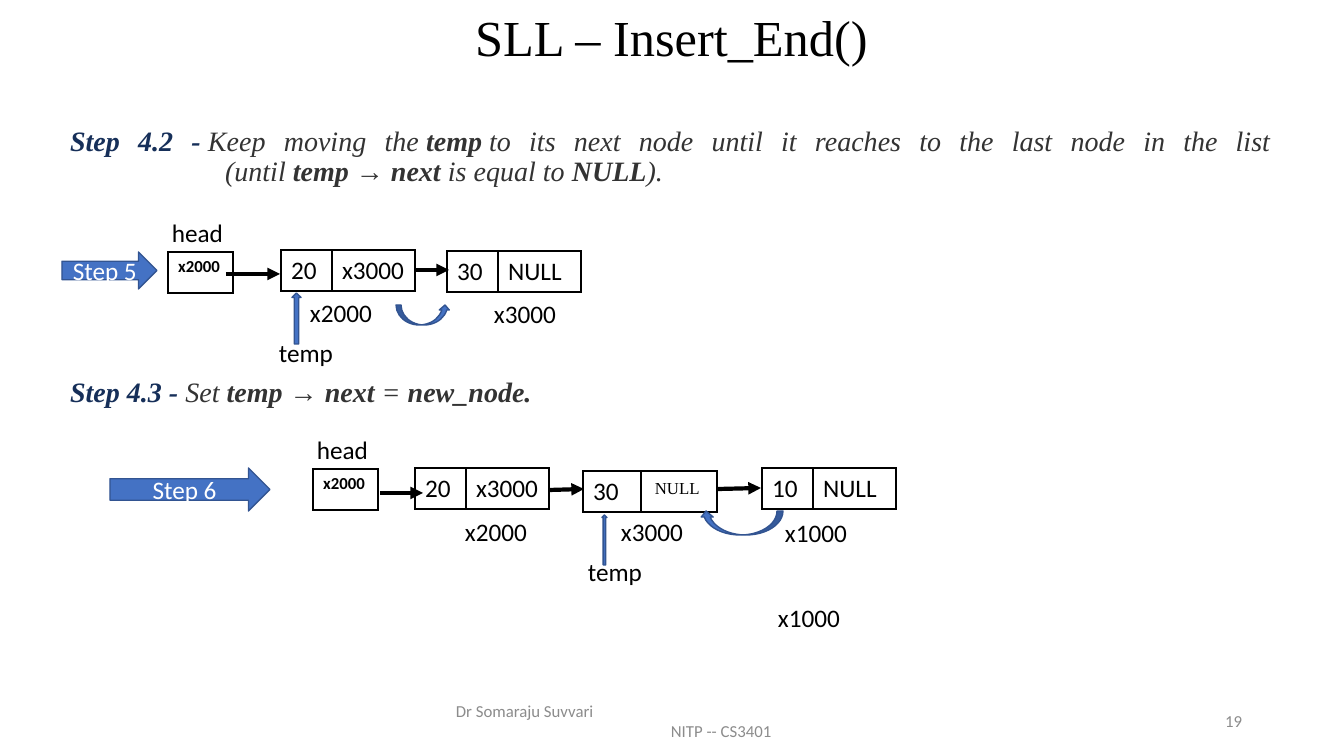
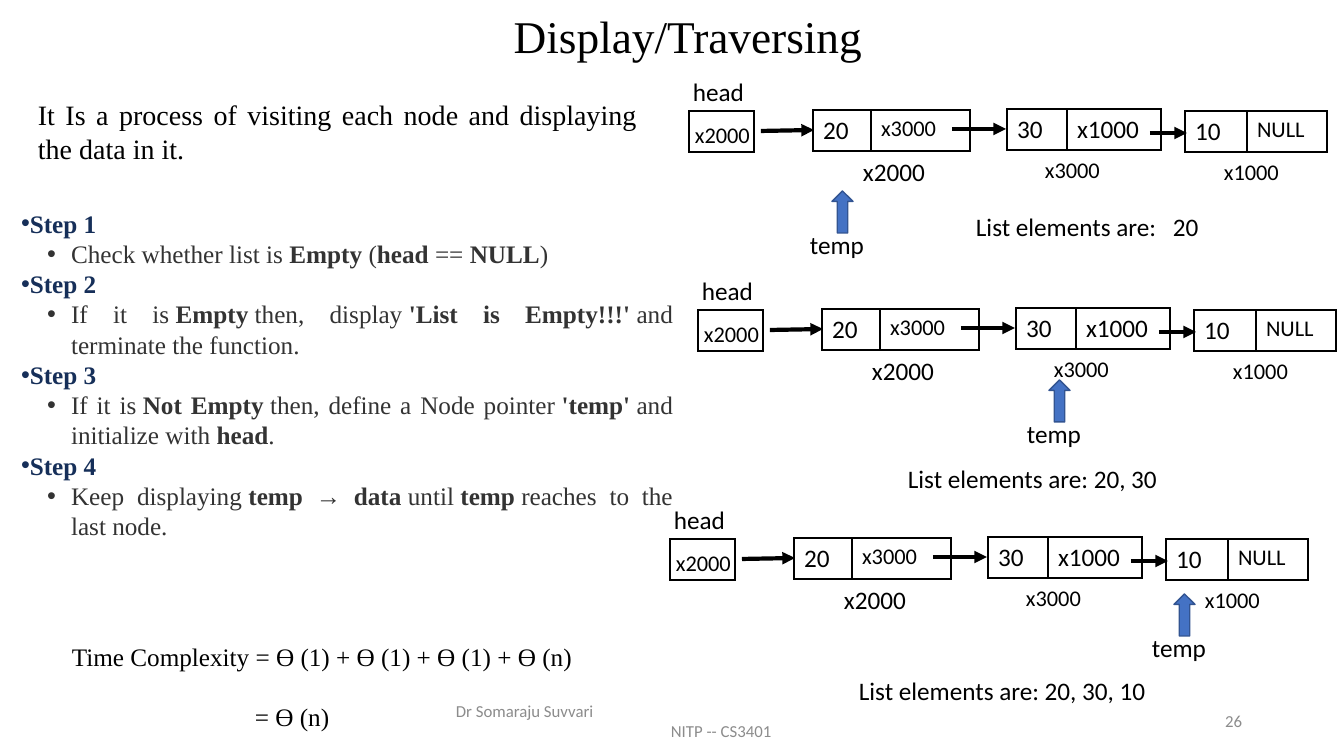
import lxml.etree
import pptx
import pptx.dml.color
import pptx.enum.shapes
import pptx.enum.text
import pptx.oxml.ns
import pptx.util

SCALE = 12192000 / 1344
SHAPES = pptx.enum.shapes.MSO_SHAPE
ALIGN = pptx.enum.text.PP_ALIGN
ANCHOR = pptx.enum.text.MSO_ANCHOR
FIT = pptx.enum.text.MSO_AUTO_SIZE
SERIF, SANS = "Times New Roman", "Calibri"
BLACK, WHITE, NAVY, INK = "000000", "FFFFFF", "162F59", "333333"
BLUE, EDGE, GREY = "4472C4", "325491", "8C8C8C"


def px(length):
    """Turn pixels into EMU."""
    return pptx.util.Emu(round(length * SCALE))


def paint(target, value):
    """Give a fill or a font a solid colour from a hex string."""
    if hasattr(target, "solid"):
        target.solid()
        target = target.fore_color
    else:
        target = target.color
    target.rgb = pptx.dml.color.RGBColor.from_string(value)


def apply(target, formats):
    """Set every attribute in the dict of formats."""
    for name, value in formats.items():
        setattr(target, name, value)


def child(parent, tag, **attributes):
    """Append a drawing element to its parent."""
    return lxml.etree.SubElement(parent, pptx.oxml.ns.qn("a:" + tag), attributes)


class Slides:
    """Holds the style and the current slide."""

    def __init__(self):
        """Start an empty wide deck."""
        self.deck = pptx.Presentation()
        apply(self.deck, {"slide_width": px(1344), "slide_height": px(756)})
        self.page = None

    def start(self, title, at, size, number):
        """Add a slide with its title and footer."""
        self.page = self.deck.slides.add_slide(self.deck.slide_layouts[1])
        frame = self.place(self.page.shapes.title, at)
        frame.vertical_anchor = ANCHOR.MIDDLE
        self.paragraph(frame, title, size, SERIF, alignment=ALIGN.CENTER, line_spacing=0.9)
        frame = self.box((446, 701, 453, 40))
        frame.vertical_anchor = ANCHOR.MIDDLE
        self.paragraph(frame, "Dr Somaraju Suvvari", 12, ink=GREY)
        self.paragraph(frame, "NITP -- CS3401", 12, ink=GREY, margin=215)
        frame = self.box((949, 701, 303, 40))
        frame.vertical_anchor = ANCHOR.MIDDLE
        self.paragraph(frame, number, 12, ink=GREY, alignment=ALIGN.RIGHT)

    def place(self, shape, at):
        """Move a placeholder and return its text frame."""
        apply(shape, dict(zip(("left", "top", "width", "height"), map(px, at))))
        apply(shape.text_frame, {"auto_size": FIT.NONE, "word_wrap": True})
        return shape.text_frame

    def body(self, at):
        """Place the body placeholder and return its text frame."""
        return self.place(self.page.placeholders[1], at)

    def box(self, at):
        """Add a wrapping text box and return its text frame."""
        frame = self.page.shapes.add_textbox(*map(px, at)).text_frame
        frame.word_wrap = True
        return frame

    def span(self, para, text, size, font, ink, **formats):
        """Add one run of text to a paragraph."""
        run = para.add_run()
        run.text = text
        apply(run.font, {"size": pptx.util.Pt(size), "name": font, **formats})
        paint(run.font, ink)

    def paragraph(self, frame, text, size, font=SANS, ink=BLACK, lead="", bold=False,
                  italic=False, margin=0, indent=0, bullet="", **formats):
        """Add a paragraph; bars switch bold on and off, lead is bold and navy."""
        para = frame.paragraphs[0]
        if para.runs:
            para = frame.add_paragraph()
        apply(para, {"space_before": pptx.util.Pt(0), "line_spacing": 1.0, **formats})
        properties = para._p.get_or_add_pPr()
        properties.set("marL", str(px(margin)))
        properties.set("indent", str(px(indent)))
        if bullet:
            child(properties, "buChar", char=bullet)
        else:
            child(properties, "buNone")
        if lead:
            self.span(para, lead, size, font, NAVY, bold=True, italic=italic)
        for index, part in enumerate(text.split("|")):
            for row, line in enumerate(part.split("\n")):
                if row:
                    para.add_line_break()
                    child(para._p[-1], "rPr", sz=str(size * 100))
                if line:
                    self.span(para, line, size, font, ink, italic=italic,
                              bold=bold or index % 2 == 1)

    def label(self, text, left, top, width=123, size=18, font=SANS):
        """Add a one-line text label."""
        frame = self.box((left, top, width, 40 if size == 18 else 37))
        frame.auto_size = FIT.SHAPE_TO_FIT_TEXT
        self.paragraph(frame, text, size, font)

    def node(self, left, top, widths, texts, sizes=(18, 18), bold=False):
        """Add a list node as a one-row table."""
        table = self.page.shapes.add_table(
            1, len(widths), px(left), px(top), px(sum(widths)), px(41)).table
        apply(table, {"first_row": False, "horz_banding": False})
        table.rows[0].height = px(41)
        for index, (width, text, size) in enumerate(zip(widths, texts, sizes)):
            table.columns[index].width = px(width)
            cell = table.cell(0, index)
            properties = cell._tc.get_or_add_tcPr()
            for side in ("lnL", "lnR", "lnT", "lnB"):
                line = child(properties, side, w=str(pptx.util.Pt(1)))
                child(child(line, "solidFill"), "srgbClr", val=BLACK)
            cell.fill.background()
            if text:
                self.paragraph(cell.text_frame, text, size, bold=bold)

    def link(self, start_x, start_y, end_x, end_y):
        """Add a thick arrow between nodes."""
        line = self.page.shapes.add_connector(
            pptx.enum.shapes.MSO_CONNECTOR.STRAIGHT,
            *map(px, (start_x, start_y, end_x, end_y)))
        line.line.width = pptx.util.Pt(3)
        paint(line.line.fill, BLACK)
        child(line.line._get_or_add_ln(), "tailEnd", type="triangle")
        child(line._element.spPr, "effectLst")

    def shape(self, kind, at, text="", rotation=0):
        """Add a blue block arrow."""
        arrow = self.page.shapes.add_shape(kind, *map(px, at))
        arrow.shadow.inherit = False
        arrow.rotation = rotation
        paint(arrow.fill, BLUE)
        paint(arrow.line.fill, EDGE)
        arrow.line.width = pptx.util.Pt(1)
        if text:
            arrow.text_frame.vertical_anchor = ANCHOR.MIDDLE
            self.paragraph(arrow.text_frame, text, 18, ink=WHITE, alignment=ALIGN.CENTER)

    def chain(self, left, top):
        """Add the three-node list with its head."""
        self.label("head", left, top, 81)
        self.node(left + 6, top + 40, [65], [""])
        for x, y, widths, texts, sizes in (
                (130, 39, (58, 99), ("20", "x3000"), (18, 16)),
                (324, 38, (60, 94), ("30", "x1000"), (18, 18)),
                (502, 40, (62, 80), ("10", "NULL"), (18, 16))):
            self.node(left + x, top + y, widths, texts, sizes)
        for x, y, end_x, end_y in ((78, 60, 131, 59), (269, 58, 323, 58),
                                   (467, 62, 504, 62)):
            self.link(left + x, top + y, left + end_x, top + end_y)
        for text, x, y, width, size in (
                ("x2000", 2, 45, 81, 16), ("x2000", 170, 80, 123, 18),
                ("x3000", 352, 80, 81, 16), ("x1000", 531, 82, 81, 16)):
            self.label(text, left + x, top + y, width, size)


def insert_end(slides):
    """Build the slide on inserting at the end."""
    slides.start("SLL – Insert_End()", (92, 15, 1159, 51), 36, "19")
    style = {"size": 20, "font": SERIF, "ink": INK, "italic": True,
             "alignment": ALIGN.JUSTIFY, "line_spacing": 0.9}
    frame = slides.body((60, 122, 1221, 560))
    slides.paragraph(
        frame, "Keep moving the\u00a0|temp|\u00a0to its next node until it reaches "
        "to the last node in the list\n(until\u00a0|temp → next|\u00a0is equal "
        "to\u00a0|NULL|).", lead="Step 4.2 -\u00a0", margin=155, indent=-155, **style)
    slides.paragraph(frame, "Set\u00a0|temp → next|\u00a0=\u00a0|new_node.|",
                     lead="Step 4.3 -\u00a0", space_before=pptx.util.Pt(136), **style)
    for left, top in ((168, 252), (313, 469)):
        slides.label("head", left - 6, top - 40, 81)
        slides.node(left, top, [65], ["x2000"], [12], bold=True)
    pair = (51, 83)
    for left, top, widths, texts in (
            (281, 250, pair, ("20", "x3000")), (447, 251, pair, ("30", "NULL")),
            (415, 468, pair, ("20", "x3000")), (583, 471, (58, 76), ("30", "")),
            (762, 468, pair, ("10", "NULL"))):
        slides.node(left, top, widths, texts)
    for ends in ((226, 274, 280, 274), (415, 270, 449, 270), (380, 493, 423, 493),
                 (549, 490, 584, 489), (718, 489, 761, 488)):
        slides.link(*ends)
    for text, left, top in (
            ("x2000", 300, 292), ("x3000", 484, 293), ("temp", 269, 332),
            ("x2000", 455, 511), ("x3000", 611, 511), ("x1000", 775, 512),
            ("temp", 578, 551), ("x1000", 768, 597)):
        slides.label(text, left, top, 85 if text == "temp" else 123)
    slides.label("NULL", 645, 473, 70, 12, SERIF)
    slides.shape(SHAPES.RIGHT_ARROW, (62, 252, 95, 37), "Step 5")
    slides.shape(SHAPES.RIGHT_ARROW, (110, 468, 160, 43), "Step 6")
    slides.shape(SHAPES.UP_ARROW, (292, 293, 9, 51))
    slides.shape(SHAPES.UP_ARROW, (602, 515, 5, 50))
    slides.shape(SHAPES.CURVED_UP_ARROW, (396, 305, 54, 20))
    slides.shape(SHAPES.CURVED_DOWN_ARROW, (700, 511, 83, 24), rotation=180)


def traversing(slides):
    """Build the slide on displaying the list."""
    slides.start("Display/Traversing", (72, 16, 1232, 46), 32.4, "26")
    slides.paragraph(
        slides.box((28, 93, 619, 78)),
        "It Is a process of visiting each node and displaying the data in it.",
        20, SERIF, alignment=ALIGN.JUSTIFY)
    frame = slides.body((11, 203, 672, 346))
    style = {"size": 18, "font": SERIF, "ink": INK, "bullet": "•",
             "alignment": ALIGN.JUSTIFY}
    steps = (
        "Check whether list is\u00a0|Empty|\u00a0(|head|\u00a0==\u00a0|NULL|)",
        "If it is\u00a0|Empty|\u00a0then, display\u00a0|'List is Empty!!!'|\u00a0and "
        "terminate the function.",
        "If it is\u00a0|Not Empty|\u00a0then, define a Node pointer\u00a0|'temp'|\u00a0and "
        "initialize with\u00a0|head|.",
        "Keep displaying\u00a0|temp → data|\u00a0until\u00a0|temp|\u00a0reaches to the "
        "last node.")
    for number, step in enumerate(steps, 1):
        slides.paragraph(frame, "", lead=f"Step {number}", **style)
        slides.paragraph(frame, step, margin=50, indent=-24, level=1, **style)
    frame = slides.box((62, 636, 532, 72))
    slides.paragraph(frame, "Time Complexity = Ɵ (1) + Ɵ (1) + Ɵ (1) + Ɵ (n)", 18, SERIF)
    slides.paragraph(frame, "= Ɵ (n)", 18, SERIF, margin=183,
                     space_before=pptx.util.Pt(21.5))
    for head, marker, caption, text in (
            ((683, 71), (832, 191), (966, 206), "List elements are:"),
            ((692, 270), (1049, 380), (898, 458), "List elements are: 20, 30"),
            ((664, 499), (1174, 594), (849, 670), "List elements are: 20, 30, 10")):
        slides.chain(*head)
        slides.shape(SHAPES.UP_ARROW, (*marker, 21, 42))
        slides.label("temp", marker[0] - 32, marker[1] + 33, 105)
        slides.label(text, *caption, 340)
    slides.label("20", 1163, 206, 60)


def main():
    """Build both slides and save the deck."""
    slides = Slides()
    insert_end(slides)
    traversing(slides)
    slides.deck.save("out.pptx")


main()
